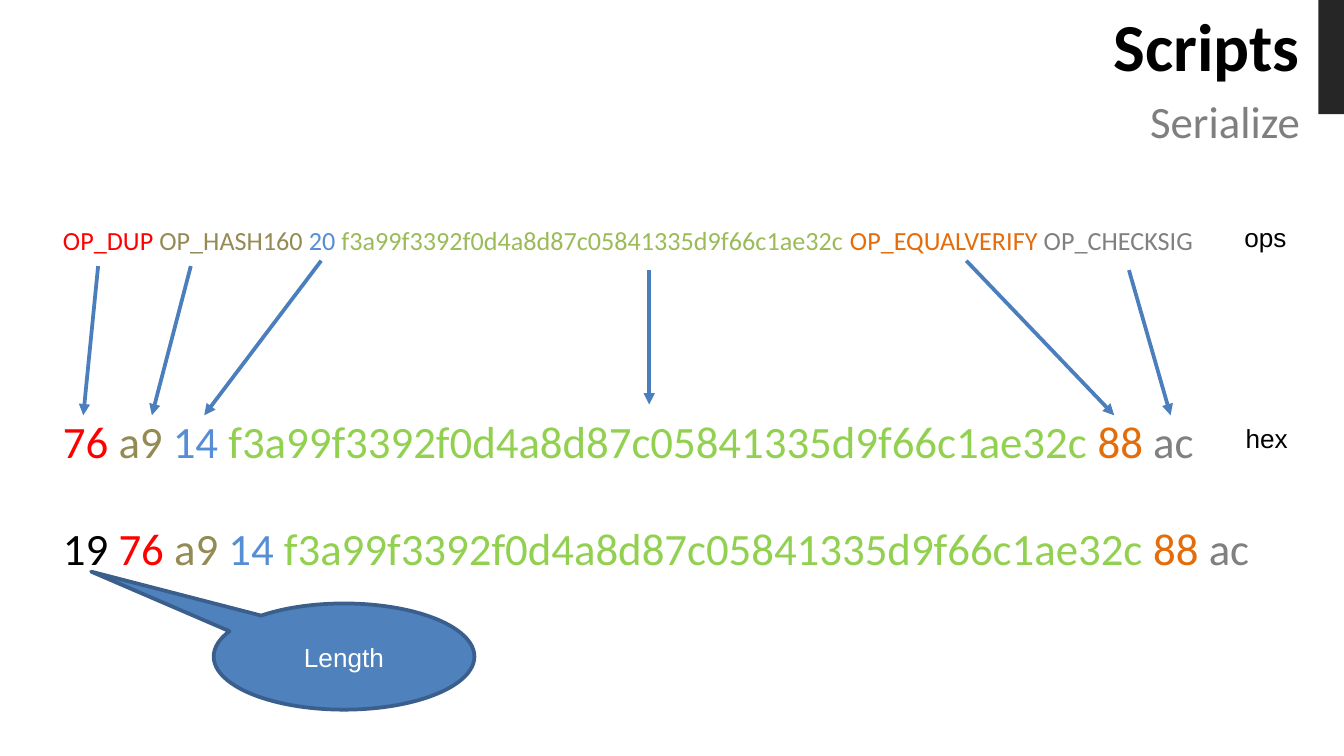
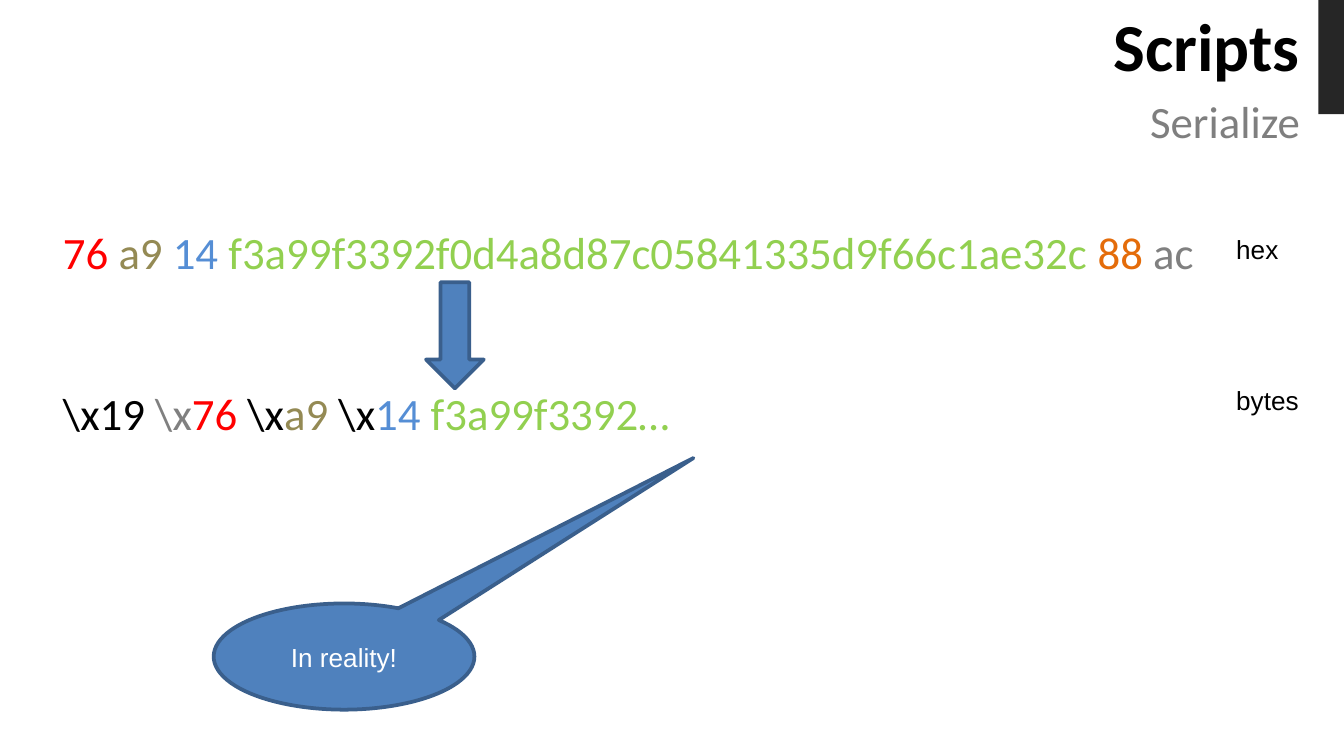
from lxml.etree import SubElement
from pptx import Presentation
from pptx.dml.color import RGBColor
from pptx.enum.shapes import MSO_CONNECTOR, MSO_SHAPE
from pptx.enum.text import MSO_ANCHOR, MSO_AUTO_SIZE, PP_ALIGN
from pptx.oxml.ns import qn
from pptx.util import Inches, Pt

SLIDE_W = 10
SLIDE_H = SLIDE_W * 9 / 16

BLACK, WHITE, DARK, GRAY = "000000", "FFFFFF", "262626", "7F7F7F"
RED, TAN, SKY, OLIVE = "FF0000", "948A54", "558ED5", "9BBB59"
LIME, ORANGE, SILVER = "92D050", "E46C0A", "808080"
BLUE, NAVY, ARROW = "4F81BD", "3A5F8C", "4B7EBC"
HEAD_FONT, LABEL_FONT = "Calibri", "Arial"

HASH = "f3a99f3392f0d4a8d87c05841335d9f66c1ae32c "
OPS = [("OP_DUP ", RED), ("OP_HASH160 ", TAN), ("20 ", SKY), (HASH, OLIVE),
       ("OP_EQUALVERIFY ", ORANGE), ("OP_CHECKSIG", SILVER)]
HEX = [("76 ", RED), ("a9 ", TAN), ("14 ", SKY), (HASH, LIME),
       ("88 ", ORANGE), ("ac", SILVER)]
BYTES = [(r"\x19", BLACK), (r" \x", SILVER), ("76", RED), (r" \x", BLACK),
         ("a9", TAN), (r" \x", BLACK), ("14 ", SKY), ("f3a99f3392…", LIME)]
LINKS = [((0.73, 1.98), (0.62, 3.09)), ((1.42, 1.98), (1.13, 3.09)),
         ((2.39, 1.94), (1.52, 3.09)), ((4.83, 2.01), (4.83, 3.01)),
         ((7.19, 1.94), (8.29, 3.09)), ((8.4, 2.01), (8.71, 3.09))]

CODE_BOX = (0.37, 1.62, 9.25, 3.3)
CALLOUT_BOX = (1.59, 4.49, 1.94, 0.79)


def rgb(color):
    return RGBColor.from_string(color)


def inches(values):
    return [Inches(v) for v in values]


def add_run(p, text, color, size, font=HEAD_FONT, bold=False):
    r = p.add_run()
    r.text = text
    r.font.name, r.font.size, r.font.bold = font, Pt(size), bold
    r.font.color.rgb = rgb(color)


def add_textbox(slide, box):
    tf = slide.shapes.add_textbox(*inches(box)).text_frame
    tf.word_wrap = True
    return tf


def add_filled(slide, kind, box, fill, line=None):
    sp = slide.shapes.add_shape(kind, *inches(box))
    sp.shadow.inherit = False
    sp.fill.solid()
    sp.fill.fore_color.rgb = rgb(fill)
    if line:
        sp.line.color.rgb = rgb(line)
        sp.line.width = Pt(2)
    else:
        sp.line.fill.background()
    return sp


def add_header(slide, title, subtitle):
    sp = slide.shapes.title
    sp.left, sp.top, sp.width, sp.height = inches((2.87, 0.14, 6.9, 0.38))
    tf = sp.text_frame
    tf.auto_size = MSO_AUTO_SIZE.NONE
    tf.vertical_anchor = MSO_ANCHOR.MIDDLE
    p = tf.paragraphs[0]
    p.alignment = PP_ALIGN.RIGHT
    add_run(p, title, BLACK, 36, bold=True)
    p = add_textbox(slide, (4.69, 0.65, 5.08, 0.59)).paragraphs[0]
    p.alignment = PP_ALIGN.RIGHT
    add_run(p, subtitle, GRAY, 24)
    add_filled(slide, MSO_SHAPE.RECTANGLE, (9.81, 0, 0.19, 0.85), DARK)


def add_code(slide, box, rows):
    tf = add_textbox(slide, box)
    for i, (runs, size, gap) in enumerate(rows):
        p = tf.add_paragraph() if i else tf.paragraphs[0]
        p.space_before = Pt(gap)
        for text, color in runs:
            add_run(p, text, color, size)


def add_label(slide, left, top, text):
    tf = add_textbox(slide, (left, top, 0.7, 0.34))
    add_run(tf.paragraphs[0], text, BLACK, 14, LABEL_FONT)


def add_arrow(slide, start, end):
    line = slide.shapes.add_connector(MSO_CONNECTOR.STRAIGHT, *inches(start + end))
    line.line.color.rgb = rgb(ARROW)
    line.line.width = Pt(2)
    ln = line._element.spPr.find(qn("a:ln"))
    SubElement(ln, qn("a:tailEnd"), type="triangle")
    SubElement(line._element.spPr, qn("a:effectLst"))


def add_callout(slide, box, text, tip):
    sp = add_filled(slide, MSO_SHAPE.OVAL_CALLOUT, box, BLUE, NAVY)
    sp.adjustments[0], sp.adjustments[1] = tip
    tf = sp.text_frame
    tf.vertical_anchor = MSO_ANCHOR.MIDDLE
    p = tf.paragraphs[0]
    p.alignment = PP_ALIGN.CENTER
    add_run(p, text, WHITE, 14, LABEL_FONT)


def add_script_slide(prs):
    slide = prs.slides.add_slide(prs.slide_layouts[5])
    add_header(slide, "Scripts", "Serialize")
    return slide


def build_ops_to_hex(prs):
    slide = add_script_slide(prs)
    add_code(slide, CODE_BOX, [(OPS, 14, 0), (HEX, 24, 84.5),
                               ([("19 ", BLACK)] + HEX, 24, 28.5)])
    for start, end in LINKS:
        add_arrow(slide, start, end)
    add_label(slide, 9.16, 1.6, "ops")
    add_label(slide, 9.17, 3.09, "hex")
    add_callout(slide, CALLOUT_BOX, "Length", (-0.97, -0.8))


def build_hex_to_bytes(prs):
    slide = add_script_slide(prs)
    add_code(slide, CODE_BOX, [(HEX, 24, 0), (BYTES, 24, 57.5)])
    add_label(slide, 9.1, 1.69, "hex")
    add_callout(slide, CALLOUT_BOX, "In reality!", (1.34, -1.87))
    add_label(slide, 9.1, 2.81, "bytes")
    add_filled(slide, MSO_SHAPE.DOWN_ARROW, (3.17, 2.1, 0.43, 0.79), BLUE, NAVY)


def main():
    prs = Presentation()
    prs.slide_width, prs.slide_height = inches((SLIDE_W, SLIDE_H))
    build_ops_to_hex(prs)
    build_hex_to_bytes(prs)
    prs.save("out.pptx")


if __name__ == "__main__":
    main()
